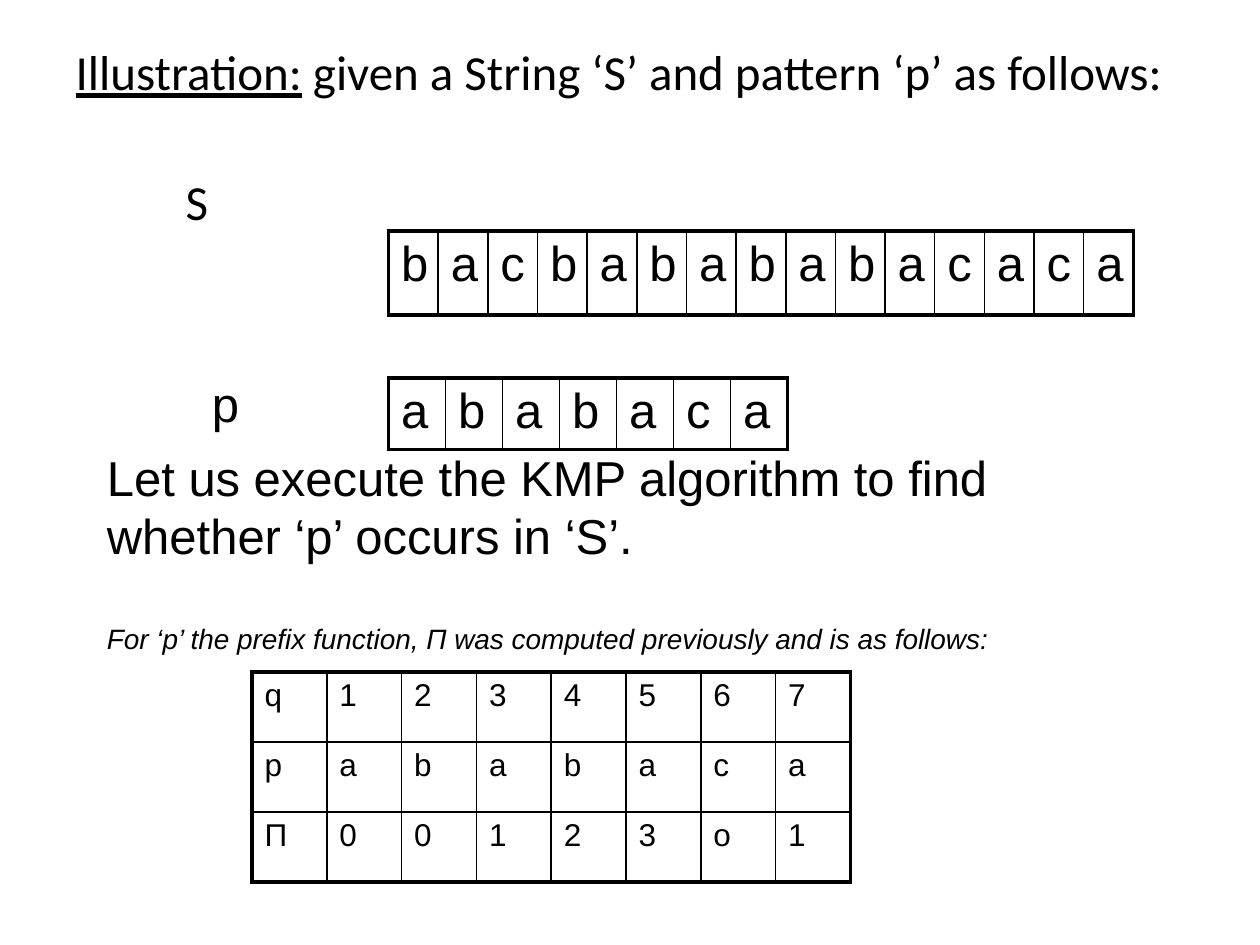
from lxml import etree
from pptx import Presentation
from pptx import util as u
from pptx.dml.color import RGBColor
from pptx.enum import text
from pptx.oxml import ns

BLACK = RGBColor(0, 0, 0)
THIN, THICK = 1, 2.25


def apply(target, values):
    for name, value in values.items():
        setattr(target, name, value)


def style(font, size, face="Arial", **extra):
    apply(font, {"name": face, "size": u.Pt(size), "bold": False, **extra})
    font.color.rgb = BLACK


def place(shape, box):
    names = ("left", "top", "width", "height")
    apply(shape, {name: u.Pt(length) for name, length in zip(names, box)})


def add_title(page, box, lead, rest):
    title = page.shapes.title
    place(title, box)
    apply(title.text_frame, {
        "auto_size": text.MSO_AUTO_SIZE.NONE,
        "vertical_anchor": text.MSO_ANCHOR.TOP,
        "word_wrap": True,
    })
    para = title.text_frame.paragraphs[0]
    apply(para, {"alignment": text.PP_ALIGN.LEFT, "line_spacing": 0.9, "space_before": u.Pt(0)})
    for words, underline in ((lead, True), (rest, False)):
        span = para.add_run()
        span.text = words
        style(span.font, 28, "Calibri", underline=underline)


def add_label(page, box, words, face="Arial", spacing=1.0):
    label = page.shapes.add_textbox(*map(u.Pt, box))
    label.text_frame.word_wrap = False
    para = label.text_frame.paragraphs[0]
    para.text = words
    para.line_spacing = spacing
    style(para.font, 28, face)


def add_explanation(page, box, task, remark):
    frame = page.shapes.add_textbox(*map(u.Pt, box)).text_frame
    frame.word_wrap = True
    para = frame.paragraphs[0]
    para.text = task
    style(para.font, 28)
    para = frame.add_paragraph()
    para.text = remark
    para.space_before = u.Pt(32.2)
    style(para.font, 16, italic=True)


def set_borders(cell, widths):
    properties = cell._tc.get_or_add_tcPr()
    for index, (side, width) in enumerate(widths.items()):
        line = etree.Element(ns.qn(f"a:ln{side}"), w=str(u.Pt(width)))
        fill = etree.SubElement(line, ns.qn("a:solidFill"))
        etree.SubElement(fill, ns.qn("a:srgbClr"), val=str(BLACK))
        properties.insert(index, line)


def add_grid(page, box, rows, size):
    last_row, last_column = len(rows) - 1, len(rows[0]) - 1
    grid = page.shapes.add_table(len(rows), len(rows[0]), *map(u.Pt, box)).table
    apply(grid, {"first_row": False, "horz_banding": False})
    for i, row in enumerate(rows):
        for j, symbol in enumerate(row):
            cell = grid.cell(i, j)
            cell.fill.background()
            para = cell.text_frame.paragraphs[0]
            para.text = symbol
            style(para.runs[0].font, size)
            edges = {"L": j == 0, "R": j == last_column, "T": i == 0, "B": i == last_row}
            set_borders(cell, {side: THICK if outer else THIN for side, outer in edges.items()})


def main():
    deck = Presentation()
    apply(deck, {"slide_width": u.Pt(720), "slide_height": u.Pt(540)})
    page = deck.slides.add_slide(deck.slide_layouts[5])
    add_title(page, (36, 24, 648, 40), "Illustration:",
              " given a String ‘S’ and pattern ‘p’ as follows:")
    add_label(page, (99, 98, 30, 40), "S", "Calibri", 0.9)
    add_grid(page, (222, 132, 426, 48), ["bacbabababacaca"], 28)
    add_grid(page, (222, 216, 228, 36), ["ababaca"], 28)
    add_label(page, (114, 210, 30, 41), "p")
    add_explanation(page, (54, 252, 583, 127),
                    "Let us execute the KMP algorithm to find whether ‘p’ occurs in ‘S’.",
                    "For ‘p’ the prefix function, Π was computed previously and is as follows:")
    add_grid(page, (144, 384, 342, 120), ["q1234567", "pababaca", "Π00123o1"], 18)
    deck.save("out.pptx")


if __name__ == "__main__":
    main()
